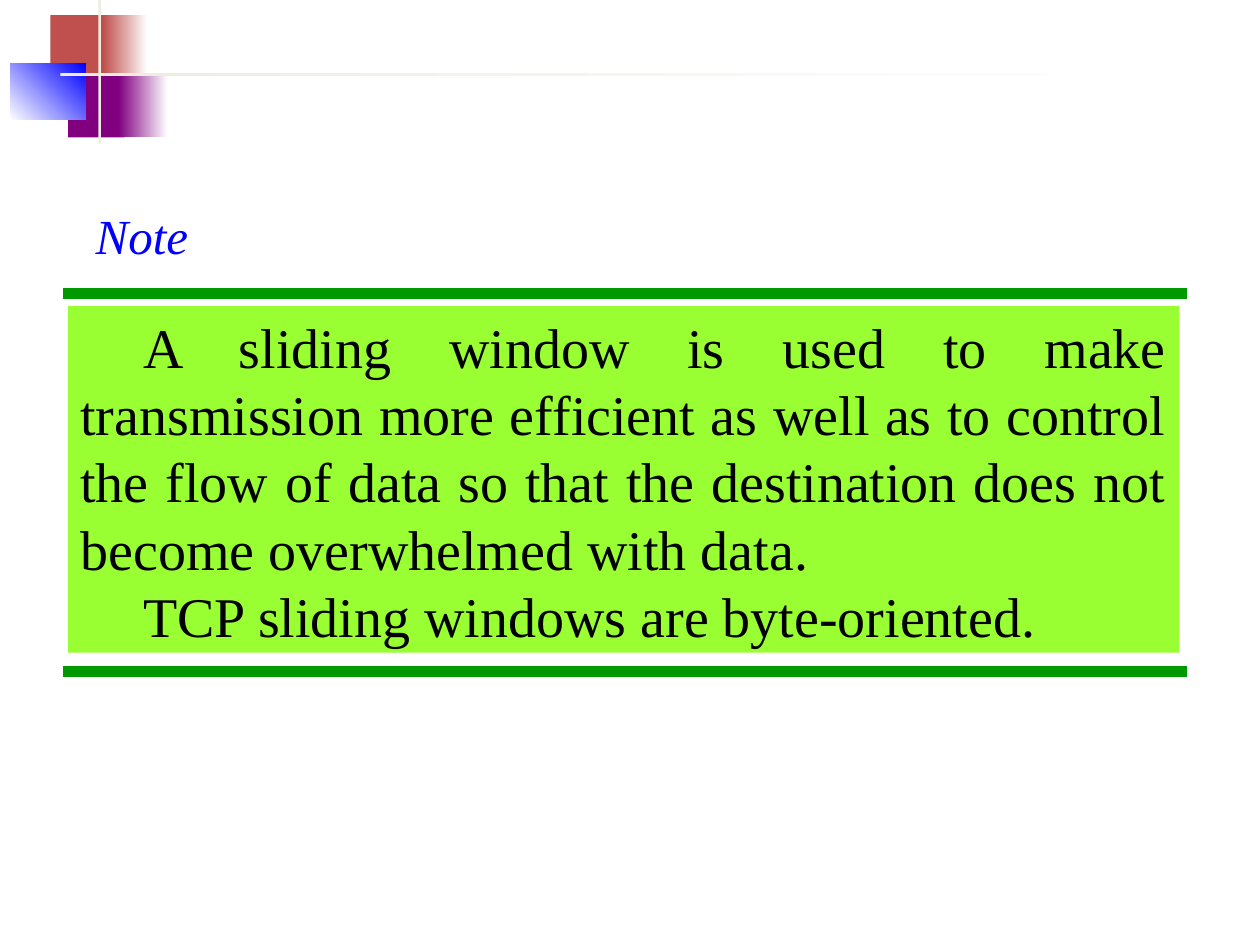
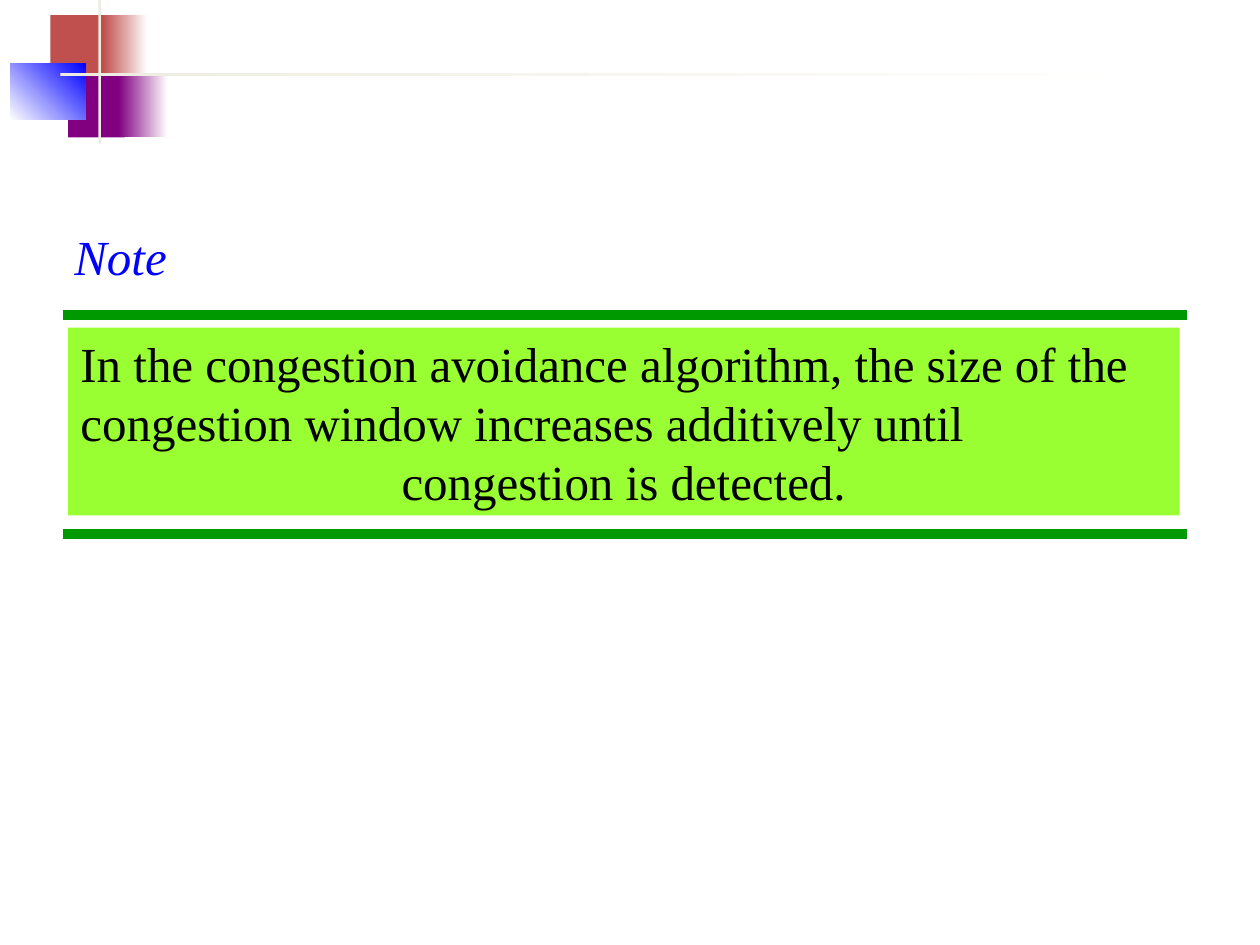
from typing import NamedTuple

from lxml.etree import SubElement
from pptx import Presentation
from pptx.dml.color import RGBColor
from pptx.enum.shapes import MSO_CONNECTOR, MSO_SHAPE
from pptx.enum.text import MSO_ANCHOR, MSO_AUTO_SIZE, PP_ALIGN
from pptx.oxml.ns import qn
from pptx.shapes.autoshape import Shape
from pptx.slide import Slide
from pptx.text.text import TextFrame
from pptx.util import Pt

COLORS = {
    "white": "FFFFFF",
    "brick": "C0504D",
    "purple": "800080",
    "blue": "0000FF",
    "cream": "EEECE1",
    "bar": "009900",
    "panel": "99FF33",
    "ink": "000000",
}
FONT = "Times New Roman"
TITLE_ONLY = 5

BAR_LEFT, BAR_RIGHT, BAR_WEIGHT = 36, 678.24, 6
PANEL_LEFT, PANEL_WIDTH = 38.88, 635.04
PANEL_GAP = 7.2  # from the upper bar to the panel
BAR_MARGIN = 18  # bar spacing beyond the panel height
TITLE_RISE, TITLE_HEIGHT = 54, 39.6

FRAME_FORMAT = {
    "word_wrap": True,
    "auto_size": MSO_AUTO_SIZE.NONE,
    "vertical_anchor": MSO_ANCHOR.TOP,
    "margin_left": Pt(7.2),
    "margin_right": Pt(7.2),
    "margin_top": Pt(3.6),
    "margin_bottom": Pt(3.6),
}


class Block(NamedTuple):
    """A rectangle of the corner ornament; fade is the second gradient colour."""
    left: float
    top: float
    width: float
    height: float
    color: str
    fade: str = ""
    angle: float = 0


class Line(NamedTuple):
    text: str
    align: PP_ALIGN = PP_ALIGN.LEFT
    indent: float = 0


class Note(NamedTuple):
    bar_top: float
    title_left: float
    title_width: float
    panel_height: float
    size: float
    lines: list[Line]


ORNAMENT = [
    Block(28.8, 8.64, 33.84, 36.72, "brick"),
    Block(59.04, 8.64, 25.2, 36.72, "brick", "white"),
    Block(38.88, 41.76, 32.4, 36.72, "purple"),
    Block(67.68, 41.76, 28.08, 36.72, "purple", "white"),
    Block(5.76, 36, 43.2, 32.4, "white", "blue", 45),
    Block(56.16, 0, 1.44, 82.08, "cream"),
    Block(34.56, 41.76, 646.56, 1.44, "cream", "white"),
]

NOTES = [
    Note(167.76, 47.52, 110.88, 198, 32, [
        Line("A sliding window is used to make transmission more efficient "
             "as well as to control the flow of data so that the destination "
             "does not become overwhelmed with data.", PP_ALIGN.JUSTIFY, 36),
        Line("TCP sliding windows are byte-oriented.", PP_ALIGN.JUSTIFY, 36),
    ]),
    Note(180, 35.28, 126.72, 107.28, 28, [
        Line("In the congestion avoidance algorithm, the size of the "
             "congestion window increases additively until"),
        Line("congestion is detected.", PP_ALIGN.CENTER),
    ]),
]


def rgb(name: str) -> RGBColor:
    return RGBColor.from_string(COLORS[name])


def apply_format(target: object, values: dict) -> None:
    for attribute, value in values.items():
        setattr(target, attribute, value)


def add_block(slide: Slide, block: Block) -> Shape:
    shape = slide.shapes.add_shape(
        MSO_SHAPE.RECTANGLE, Pt(block.left), Pt(block.top),
        Pt(block.width), Pt(block.height))
    shape.shadow.inherit = False
    shape.line.fill.background()
    if block.fade:
        shape.fill.gradient()
        shape.fill.gradient_angle = block.angle
        for stop, name in zip(shape.fill.gradient_stops, (block.color, block.fade)):
            stop.color.rgb = rgb(name)
    else:
        shape.fill.solid()
        shape.fill.fore_color.rgb = rgb(block.color)
    return shape


def add_bar(slide: Slide, top: float) -> None:
    bar = slide.shapes.add_connector(
        MSO_CONNECTOR.STRAIGHT, Pt(BAR_LEFT), Pt(top), Pt(BAR_RIGHT), Pt(top))
    bar.line.color.rgb = rgb("bar")
    bar.line.width = Pt(BAR_WEIGHT)
    SubElement(bar.element.spPr, qn("a:effectLst"))


def write(frame: TextFrame, lines: list[Line], size: float, color: str,
          italic: bool = False) -> None:
    apply_format(frame, FRAME_FORMAT)
    for index, line in enumerate(lines):
        paragraph = frame.add_paragraph() if index else frame.paragraphs[0]
        paragraph.alignment = line.align
        if line.indent:
            paragraph._p.get_or_add_pPr().set("indent", str(Pt(line.indent)))
        run = paragraph.add_run()
        run.text = line.text
        apply_format(run.font, {"name": FONT, "size": Pt(size), "italic": italic})
        run.font.color.rgb = rgb(color)


def add_note_slide(deck: Presentation, note: Note) -> None:
    slide = deck.slides.add_slide(deck.slide_layouts[TITLE_ONLY])
    for block in ORNAMENT:
        add_block(slide, block)
    for top in (note.bar_top, note.bar_top + note.panel_height + BAR_MARGIN):
        add_bar(slide, top)

    panel = add_block(slide, Block(PANEL_LEFT, note.bar_top + PANEL_GAP,
                                   PANEL_WIDTH, note.panel_height, "panel"))
    write(panel.text_frame, note.lines, note.size, "ink")

    title = slide.shapes.title
    apply_format(title, {
        "left": Pt(note.title_left),
        "top": Pt(note.bar_top - TITLE_RISE),
        "width": Pt(note.title_width),
        "height": Pt(TITLE_HEIGHT),
    })
    write(title.text_frame, [Line("Note")], 28, "blue", italic=True)


def main() -> None:
    deck = Presentation()
    apply_format(deck, {"slide_width": Pt(720), "slide_height": Pt(540)})
    for note in NOTES:
        add_note_slide(deck, note)
    deck.save("out.pptx")


if __name__ == "__main__":
    main()
